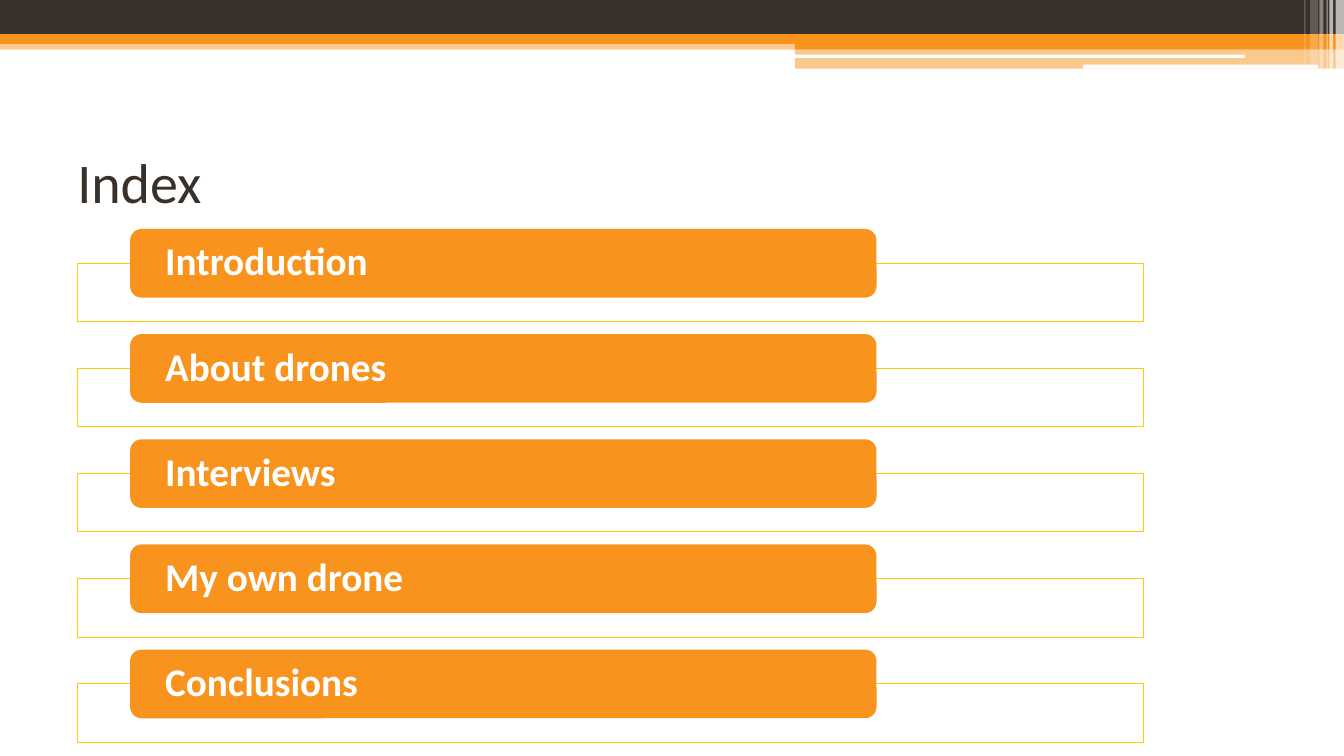
"""Build an index slide with five chapter bars under a banded header."""
from lxml import etree
from pptx import Presentation
from pptx.dml.color import RGBColor
from pptx.enum.shapes import MSO_SHAPE
from pptx.enum.text import MSO_ANCHOR, PP_ALIGN
from pptx.oxml.ns import qn
from pptx.util import Cm, Pt

RECT = MSO_SHAPE.RECTANGLE
ROUNDED = MSO_SHAPE.ROUNDED_RECTANGLE
MIDDLE = MSO_ANCHOR.MIDDLE
LEFT = PP_ALIGN.LEFT

FONT = "Calibri"
DARK, ORANGE, YELLOW, WHITE = "39302A", "F8931D", "FFCA08", "FFFFFF"
WIDTH, HEIGHT = 33.87, 19.05

BANDS = [
    (RECT, 0, 1.02, WIDTH, 0.23, ORANGE, 50),
    (RECT, 0, 0, WIDTH, 0.86, DARK, 100),
    (RECT, 0, 0.86, WIDTH, 0.25, ORANGE, 100),
    (RECT, 20.03, 0.99, 13.84, 0.25, ORANGE, 100),
    (RECT, 20.03, 1.23, 13.84, 0.5, ORANGE, 50),
    (ROUNDED, 20.02, 1.38, 11.35, 0.08, WHITE, 100),
    (ROUNDED, 27.3, 1.63, 5.92, 0.1, WHITE, 100),
]
STRIPES = [
    (33.66, 0.21, 1.74, 65),
    (33.5, 0.1, 1.74, 65),
    (33.43, 0.03, 1.74, 60),
    (33.25, 0.1, 1.74, 40),
    (33.02, 0.2, 1.63, 20),
    (32.87, 0.03, 1.63, 30),
]
CHAPTERS = ["Introduction", "About drones", "Interviews", "My own drone", "Conclusions"]
FIRST_TOP, PITCH = 5.77, 2.65


def rgb(color):
    """Return the colour for a hex string."""
    return RGBColor.from_string(color)


def add_box(s, kind, left, top, width, height, color, opacity=100, line=None):
    """Add a filled shape, placed in centimetres."""
    sp = s.shapes.add_shape(kind, Cm(left), Cm(top), Cm(width), Cm(height))
    sp.shadow.inherit = False
    sp.fill.solid()
    sp.fill.fore_color.rgb = rgb(color)
    if opacity < 100:
        clr = sp.fill._xPr.find(qn("a:solidFill"))[0]
        etree.SubElement(clr, qn("a:alpha"), val=str(opacity * 1000))
    if line:
        sp.line.color.rgb = rgb(line)
        sp.line.width = Pt(0.5)
    else:
        sp.line.fill.background()
    return sp


def write(sp, text, size, color, bold=False):
    """Write one left-aligned, vertically centred paragraph."""
    tf = sp.text_frame
    tf.word_wrap = True
    tf.vertical_anchor = MIDDLE
    p = tf.paragraphs[0]
    p.text = text
    p.alignment = LEFT
    p.line_spacing = 0.9
    p.font.name = FONT
    p.font.size = Pt(size)
    p.font.bold = bold
    p.font.color.rgb = rgb(color)
    return tf


def add_header(s):
    """Draw the header bands and the pale stripes at their right end."""
    for band in BANDS:
        add_box(s, *band)
    for left, width, height, opacity in STRIPES:
        add_box(s, RECT, left, 0, width, height, WHITE, opacity)


def add_title(s, text):
    """Add the slide title."""
    sp = s.shapes.add_textbox(Cm(1.7), Cm(3.18), Cm(30.48), Cm(2.97))
    write(sp, text, 40, DARK)


def add_chapter(s, top, text):
    """Add an outlined row with its rounded chapter label."""
    add_box(s, RECT, 1.94, top + 0.86, 26.87, 1.47, WHITE, 90, YELLOW)
    label = add_box(s, ROUNDED, 3.28, top, 18.81, 1.73, ORANGE)
    tf = write(label, text, 28, WHITE, bold=True)
    tf.margin_left = tf.margin_right = Cm(0.8)
    tf.margin_top = tf.margin_bottom = 0


def main():
    """Build and save the slide."""
    prs = Presentation()
    prs.slide_width, prs.slide_height = Cm(WIDTH), Cm(HEIGHT)
    s = prs.slides.add_slide(prs.slide_layouts[6])
    add_header(s)
    add_title(s, "Index")
    for i, chapter in enumerate(CHAPTERS):
        add_chapter(s, FIRST_TOP + i * PITCH, chapter)
    prs.save("out.pptx")


if __name__ == "__main__":
    main()
